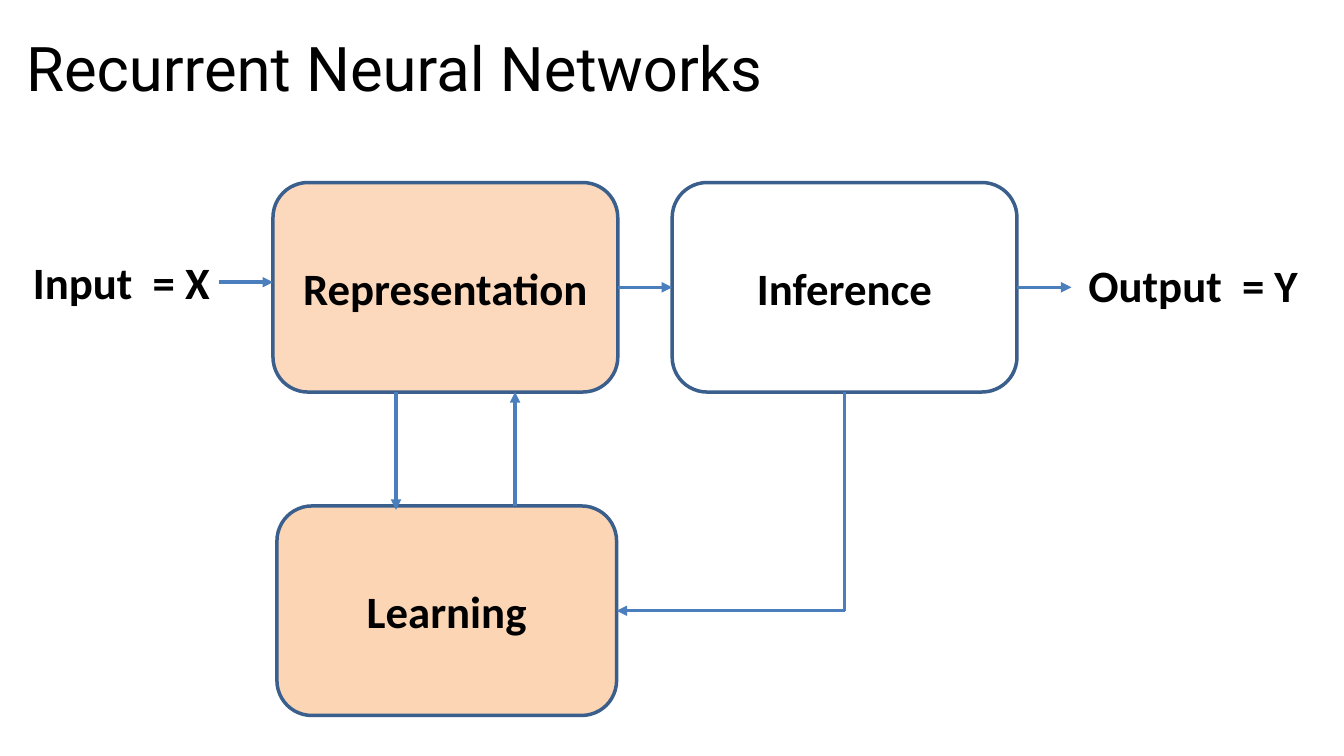
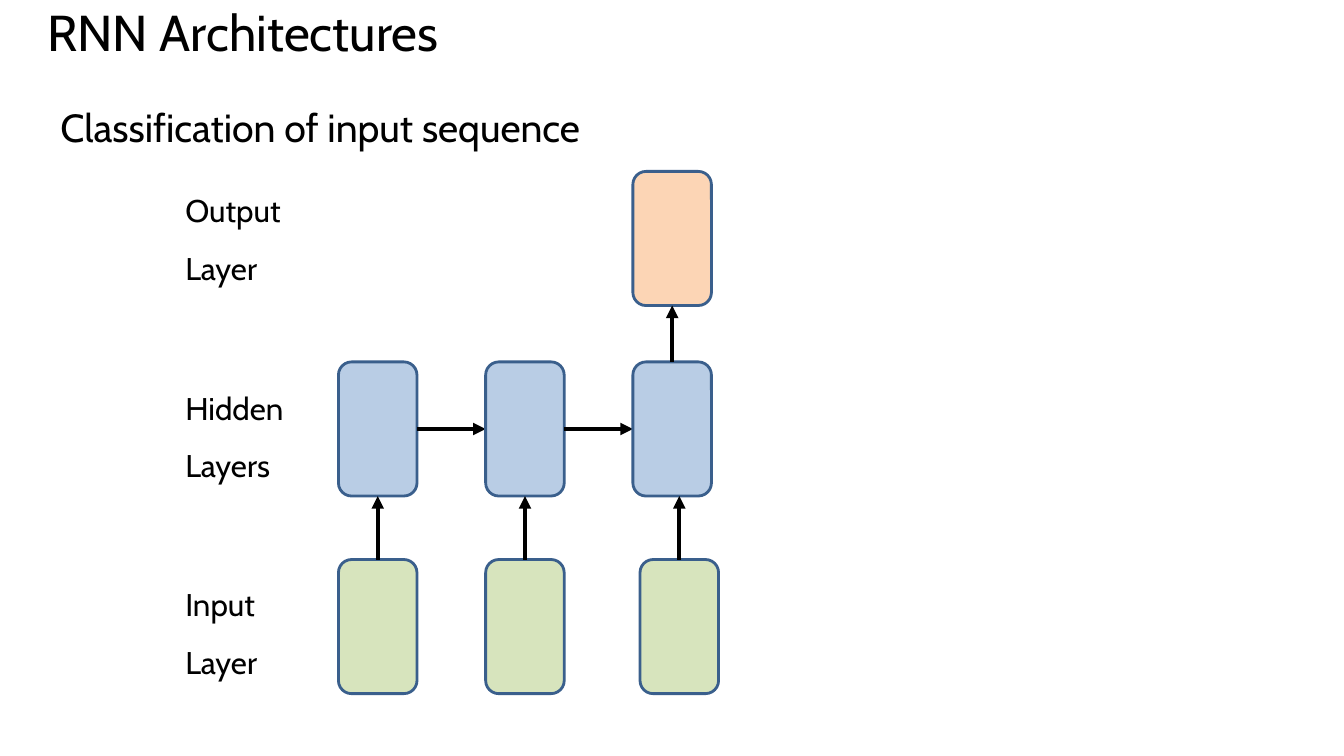
from collections import namedtuple

from lxml import etree
from pptx import Presentation
from pptx.dml.color import RGBColor
from pptx.enum.shapes import MSO_CONNECTOR, MSO_SHAPE
from pptx.enum.text import MSO_ANCHOR, PP_ALIGN
from pptx.oxml.ns import qn
from pptx.util import Cm, Pt

STRAIGHT = MSO_CONNECTOR.STRAIGHT
ROUNDED = MSO_SHAPE.ROUNDED_RECTANGLE
TOP, MIDDLE = MSO_ANCHOR.TOP, MSO_ANCHOR.MIDDLE
LEFT, CENTER = PP_ALIGN.LEFT, PP_ALIGN.CENTER

BLACK = RGBColor(0x00, 0x00, 0x00)
OUTLINE_BLUE = RGBColor(0x3A, 0x5F, 0x8C)
ARROW_BLUE = RGBColor(0x4B, 0x7E, 0xBC)
ORANGE = RGBColor(0xF7, 0x96, 0x46)
PEACH = RGBColor(0xFC, 0xD5, 0xB5)
PALE_BLUE = RGBColor(0xB9, 0xCD, 0xE5)
PALE_GREEN = RGBColor(0xD7, 0xE4, 0xBD)

CALIBRI, ROBOTO, CABIN = "Calibri", "Roboto", "Cabin"
BLANK_LAYOUT = 6

Style = namedtuple("Style", "font size bold", defaults=[False])
MAIN_TITLE = Style(ROBOTO, 44)
TOPIC_TITLE = Style(CABIN, 36)
SUBTITLE = Style(CABIN, 28)
LAYER_LABEL = Style(CABIN, 22.4)
BLOCK_LABEL = Style(CALIBRI, 32, True)


class Box(namedtuple("Box", "left top width height")):
    """A rectangle in centimetres."""

    @property
    def right(self):
        return self.left + self.width

    @property
    def bottom(self):
        return self.top + self.height

    @property
    def center(self):
        return self.left + self.width / 2

    @property
    def middle(self):
        return self.top + self.height / 2

    def lengths(self):
        return [Cm(value) for value in self]


def write(frame, lines, style, anchor=TOP, align=LEFT, before=0, spacing=1.0):
    frame.word_wrap = True
    frame.vertical_anchor = anchor
    for index, line in enumerate(lines):
        paragraph = frame.add_paragraph() if index else frame.paragraphs[0]
        paragraph.alignment = align
        paragraph.space_before = Pt(before)
        paragraph.line_spacing = spacing
        run = paragraph.add_run()
        run.text = line
        run.font.name = style.font
        run.font.size = Pt(style.size)
        run.font.bold = style.bold
        run.font.color.rgb = BLACK


def add_text(slide, box, lines, style, **layout):
    write(slide.shapes.add_textbox(*box.lengths()).text_frame, lines, style, **layout)


def add_title(slide, box, title, style, anchor):
    add_text(slide, box, [title], style, anchor=anchor, spacing=0.8)


def add_block(slide, box, fill=None, weight=2, label=None, opacity=None):
    """Rounded block; opacity is a percentage of the fill."""
    block = slide.shapes.add_shape(ROUNDED, *box.lengths())
    block.shadow.inherit = False
    block.line.color.rgb = OUTLINE_BLUE
    block.line.width = Pt(weight)
    if fill is None:
        block.fill.background()
    else:
        block.fill.solid()
        block.fill.fore_color.rgb = fill
    if opacity is not None:
        color = block.fill._xPr.find(qn("a:solidFill"))[0]
        etree.SubElement(color, qn("a:alpha")).set("val", str(opacity * 1000))
    if label:
        write(block.text_frame, [label], BLOCK_LABEL, MIDDLE, CENTER)


def add_line(slide, start, end, color, weight, head=True):
    line = slide.shapes.add_connector(
        STRAIGHT, *[Cm(value) for value in (*start, *end)])
    line.line.color.rgb = color
    line.line.width = Pt(weight)
    if head:
        outline = line.line._get_or_add_ln()
        etree.SubElement(outline, qn("a:tailEnd")).set("type", "triangle")
    etree.SubElement(line._element.spPr, qn("a:effectLst"))


def add_learning_cycle(slide, area):
    """Input, the three blocks, output, and the flows between them."""
    gap = 1.37
    representation = Box(area.left + 6.3, area.top, 8.69, 5.28)
    inference = representation._replace(left=representation.right + gap)
    learning = Box(representation.left + 0.1, area.bottom - 5.28, 8.56, 5.28)

    def flow(start, end, head=True):
        add_line(slide, start, end, ARROW_BLUE, 2.5, head)

    add_text(slide, Box(area.left, area.top + 1.7, 5.18, 1.63),
             ["Input  = X"], BLOCK_LABEL)
    add_text(slide, Box(area.right - 6.17, area.top + 1.78, 6.17, 1.63),
             ["Output  = Y"], BLOCK_LABEL)
    add_block(slide, representation, ORANGE, 2.5, "Representation", opacity=36)
    add_block(slide, learning, PEACH, 2.5, "Learning")
    add_block(slide, inference, None, 2.5, "Inference")

    input_y = representation.middle - 0.13
    flow((representation.left - gap, input_y), (representation.left, input_y))
    for block in (representation, inference):
        flow((block.right, block.middle), (block.right + gap, block.middle))

    down_x, up_x = learning.left + 3, learning.left + 6
    flow((down_x, representation.bottom), (down_x, learning.top + 0.1))
    flow((up_x, learning.top), (up_x, representation.bottom))

    corner = (inference.center, learning.middle)
    flow((inference.center, inference.bottom), corner, head=False)
    flow(corner, (learning.right, learning.middle))


def add_sequence_classifier(slide, area):
    """Layer labels on the left, one column of cells for each time step."""
    cell_width, cell_height, step, steps = 1.98, 3.38, 3.71, 3
    output_top, hidden_top, input_top = (area.top + dy for dy in (0, 4.8, 9.78))
    last_input_shift = 0.18

    def cell(index, top, shift=0):
        return Box(area.left + 4.11 + index * step + shift, top,
                   cell_width, cell_height)

    def flow(start, end):
        add_line(slide, start, end, BLACK, 3)

    labels = [(("Output", "Layer"), output_top + 0.38),
              (("Hidden", "Layers"), hidden_top + 0.56),
              (("Input", "Layer"), input_top + 0.53)]
    for lines, top in labels:
        add_text(slide, Box(area.left, top, 3.61, 2.26), lines, LAYER_LABEL,
                 before=14)

    for index in range(steps):
        is_last = index == steps - 1
        hidden = cell(index, hidden_top)
        source = cell(index, input_top, last_input_shift if is_last else 0)
        add_block(slide, hidden, PALE_BLUE)
        add_block(slide, source, PALE_GREEN)
        flow((source.center, source.top), (source.center, hidden.bottom))
        if is_last:
            output = cell(index, output_top)
            add_block(slide, output, PEACH)
            flow((hidden.center, hidden.top), (hidden.center, output.bottom))
        else:
            flow((hidden.right, hidden.middle),
                 (hidden.left + step, hidden.middle))


def build_networks_slide(slide):
    add_title(slide, Box(0.41, 0.91, 33.07, 1.9), "Recurrent Neural Networks",
              MAIN_TITLE, MIDDLE)
    add_learning_cycle(slide, Box(0.58, 4.6, 32.77, 13.43))


def build_architectures_slide(slide):
    add_title(slide, Box(0.94, 0.2, 32, 2.26), "RNN Architectures",
              TOPIC_TITLE, TOP)
    add_text(slide, Box(1.27, 2.49, 25.86, 1.22),
             ["Classification of input sequence"], SUBTITLE, before=14)
    add_sequence_classifier(slide, Box(4.42, 4.32, 13.69, 13.16))


def main():
    deck = Presentation()
    deck.slide_width, deck.slide_height = Cm(33.87), Cm(19.05)
    for build in (build_networks_slide, build_architectures_slide):
        build(deck.slides.add_slide(deck.slide_layouts[BLANK_LAYOUT]))
    deck.save("out.pptx")


if __name__ == "__main__":
    main()
